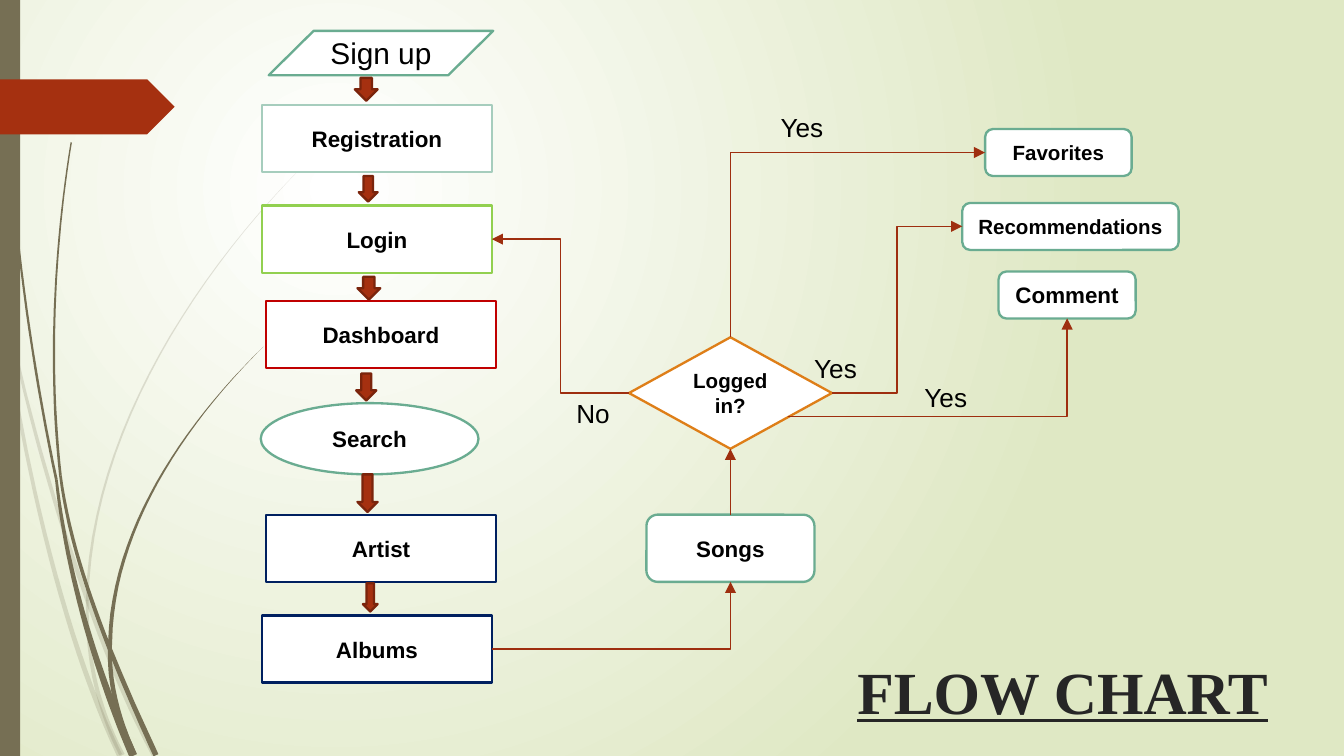
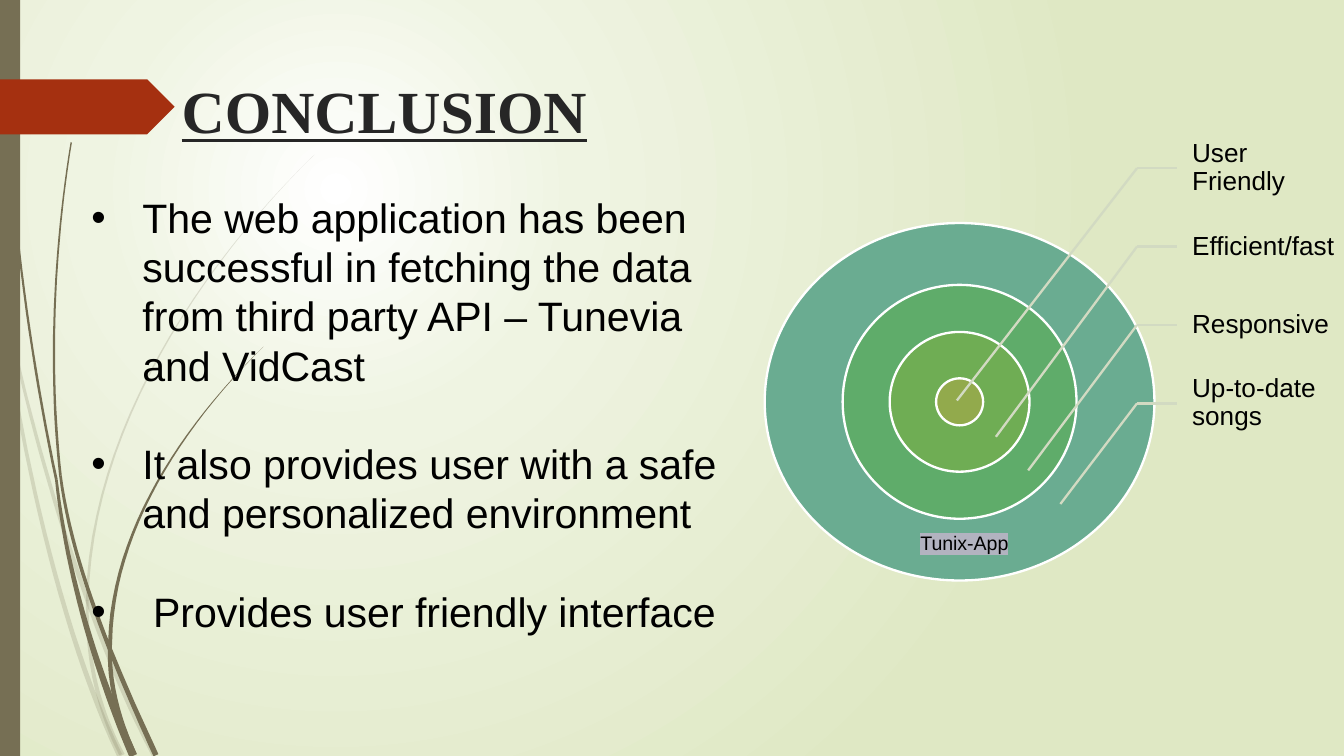
from math import hypot

from lxml.etree import SubElement
from pptx import Presentation
from pptx.dml.color import RGBColor
from pptx.enum.shapes import MSO_CONNECTOR as LINK, MSO_SHAPE as KIND
from pptx.enum.text import MSO_ANCHOR as ANCHOR, MSO_AUTO_SIZE as FIT, PP_ALIGN as ALIGN
from pptx.oxml import parse_xml
from pptx.oxml.ns import nsdecls, qn
from pptx.util import Inches, Pt

COLORS = {
    "white": "FFFFFF", "pale": "EFF4E2", "lime": "DFE8C4", "bark": "766F54",
    "rust": "A53010", "rust edge": "7A240C", "rust link": "9E2E0F",
    "black": "000000", "title": "262626", "teal": "6AAC91", "mint": "A6CDBD",
    "green": "92D050", "red": "C00000", "navy": "002060", "orange": "DE7E18",
    "ring 2": "5FAC6A", "ring 3": "6FAD54", "ring 4": "92AA4C",
    "leader": "D2DAC2", "highlight": "B2B3C0",
}
RGB = {name: RGBColor.from_string(value) for name, value in COLORS.items()}

presentation = Presentation()
presentation.slide_width = Inches(10)
presentation.slide_height = Inches(5.625)
CELL = presentation.slide_width // 10  # square grid, ten columns wide


def style_text(frame, size, bold=False, font="Arial", color="black", align=None):
    """Format every run of a text frame in the same way."""
    frame.word_wrap = True
    for paragraph in frame.paragraphs:
        paragraph.alignment = align
        for run in paragraph.runs:
            run.font.name, run.font.size, run.font.bold = font, Pt(size), bold
            run.font.color.rgb = RGB[color]


def style_shape(shape, fill, line=None, box=None):
    """Give a shape its fill and line, without a shadow, and place it on the grid."""
    shape.shadow.inherit = False
    shape.fill.solid()
    shape.fill.fore_color.rgb = RGB[fill]
    if line:
        shape.line.color.rgb = RGB[line]
        shape.line.width = Pt(1.25)
    else:
        shape.line.fill.background()
    if box:
        shape.left, shape.top, shape.width, shape.height = [int(v * CELL) for v in box]
    return shape


flow = presentation.slides.add_slide(presentation.slide_layouts[5])
conclusion = presentation.slides.add_slide(presentation.slide_layouts[1])

# Shared wisps: a Bezier centre line (start, two controls, end) that widens evenly.
# Each row: opacity in percent, the four points, width at the start and at the end.
wisps = [
    (20, [(0, 2.15), (0.14, 3.3), (0.45, 4.7), (0.89, 5.62)], 0.02, 0.04),
    (20, [(0.11, 2.59), (0.25, 3.25), (0.65, 4.7), (1.15, 5.62)], 0.02, 0.04),
    (20, [(2.34, 1.15), (1.5, 1.97), (0.67, 3.2), (0.65, 4.47)], 0, 0.02),
    (20, [(0.65, 4.47), (0.64, 4.9), (0.74, 5.3), (0.91, 5.62)], 0.02, 0.04),
    (100, [(0.02, 0), (0.03, 1.2), (0.2, 2.55), (0.42, 3.57)], 0.01, 0.02),
    (100, [(0.42, 3.57), (0.5, 4.3), (0.74, 5.05), (0.99, 5.62)], 0.02, 0.06),
    (100, [(0.53, 1.06), (0.4, 1.85), (0.36, 2.75), (0.45, 3.54)], 0.01, 0.02),
    (100, [(0.45, 3.54), (0.54, 4.25), (0.9, 5.05), (1.16, 5.62)], 0.02, 0.04),
    (100, [(1.96, 2.58), (1.35, 3.18), (0.84, 3.95), (0.82, 4.77)], 0, 0.03),
    (100, [(0.82, 4.77), (0.8, 5.1), (0.9, 5.4), (1, 5.62)], 0.03, 0.04),
]
SAMPLES = 24
UNITS = 1000  # drawing units per cell
decorations = []
for opacity, (start, control_1, control_2, end), start_width, end_width in wisps:
    left_edge, right_edge = [], []
    for step in range(SAMPLES + 1):
        t = step / SAMPLES
        u = 1 - t
        x, y = [u**3 * a + 3 * u * u * t * b + 3 * u * t * t * c + t**3 * d
                for a, b, c, d in zip(start, control_1, control_2, end)]
        slope_x, slope_y = [u * u * (b - a) + 2 * u * t * (c - b) + t * t * (d - c)
                            for a, b, c, d in zip(start, control_1, control_2, end)]
        half_width = (start_width * u + end_width * t) / 2
        offset = half_width / hypot(slope_x, slope_y)
        left_edge.append(((x - slope_y * offset) * UNITS, (y + slope_x * offset) * UNITS))
        right_edge.append(((x + slope_y * offset) * UNITS, (y - slope_x * offset) * UNITS))
    outline = left_edge + right_edge[::-1]
    builder = flow.shapes.build_freeform(*outline[0], scale=CELL / UNITS)
    builder.add_line_segments(outline[1:], close=True)
    wisp = style_shape(builder.convert_to_shape(), "bark")
    fill_color = wisp.element.spPr.find(qn("a:solidFill"))[0]
    SubElement(fill_color, qn("a:alpha"), val=str(opacity * 1000))
    decorations.append(wisp)

# Shared side band and tag
for kind, color, box in [(KIND.RECTANGLE, "bark", (0, 0, 0.15, 5.625)),
                         (KIND.PENTAGON, "rust", (0, 0.59, 1.3, 0.41))]:
    decorations.append(style_shape(flow.shapes.add_shape(kind, 0, 0, 0, 0), color, box=box))

# The master carries the decorations, so that both slides show them
for number, shape in enumerate(decorations, 100):
    shape.element.xpath("./p:nvSpPr/p:cNvPr")[0].set("id", str(number))
    presentation.slide_master.shapes.element.append(shape.element)

# Backgrounds and titles
slide_settings = [
    (flow, [(0, "white"), (100, "lime")], "FLOW CHART",
     (6.28, 4.82, 4.25, 0.4), ALIGN.LEFT, 0.1),
    (conclusion, [(0, "white"), (31, "pale"), (100, "lime")], "CONCLUSION",
     (1.13, 0.5, 3.82, 0.47), ALIGN.CENTER, 0.46),
]
for slide, stops, heading, box, align, right_margin in slide_settings:
    stop_xml = "".join(
        f'<a:gs pos="{share * 1000}"><a:srgbClr val="{COLORS[color]}"/></a:gs>'
        for share, color in stops)
    slide.element.find(qn("p:cSld")).insert(0, parse_xml(
        f'<p:bg {nsdecls("p", "a")}><p:bgPr><a:gradFill rotWithShape="1">'
        f'<a:gsLst>{stop_xml}</a:gsLst><a:path path="circle">'
        '<a:fillToRect l="50000" t="50000" r="100000" b="100000"/></a:path>'
        '</a:gradFill><a:effectLst/></p:bgPr></p:bg>'))
    title = slide.shapes.title
    title.left, title.top, title.width, title.height = [int(v * CELL) for v in box]
    frame = title.text_frame
    frame.text = heading
    frame.auto_size, frame.vertical_anchor = FIT.NONE, ANCHOR.TOP
    frame.margin_right = int(right_margin * CELL)
    style_text(frame, 32, True, "Times New Roman", "title", align)
    frame.paragraphs[0].runs[0].font.underline = True

# Flow chart: steps
STEP_SIZE = (1.71, 0.5)
PAGE_HEIGHT = 0.35
steps = [
    ("Sign up", KIND.FLOWCHART_DATA, (2, 0.23, 1.67, 0.33), "teal", 16),
    ("Registration", KIND.RECTANGLE, (1.95, 0.78, *STEP_SIZE), "mint", 12),
    ("Login", KIND.RECTANGLE, (1.95, 1.53, *STEP_SIZE), "green", 12),
    ("Dashboard", KIND.RECTANGLE, (1.98, 2.24, *STEP_SIZE), "red", 12),
    ("Search", KIND.OVAL, (1.94, 3, 1.62, 0.53), "teal", 12),
    ("Artist", KIND.RECTANGLE, (1.98, 3.83, *STEP_SIZE), "navy", 12),
    ("Albums", KIND.RECTANGLE, (1.95, 4.58, *STEP_SIZE), "navy", 12),
    ("Songs", KIND.ROUNDED_RECTANGLE, (4.81, 3.83, 1.25, 0.5), "teal", 12),
    ("Logged in?", KIND.DIAMOND, (4.68, 2.51, 1.51, 0.83), "orange", 11),
    ("Favorites", KIND.ROUNDED_RECTANGLE, (7.33, 0.96, 1.09, PAGE_HEIGHT), "teal", 11),
    ("Recommendations", KIND.ROUNDED_RECTANGLE, (7.16, 1.51, 1.61, PAGE_HEIGHT), "teal", 11),
    ("Comment", KIND.ROUNDED_RECTANGLE, (7.43, 2.02, 1.02, PAGE_HEIGHT), "teal", 12),
]
step_shapes = {}
for label, kind, box, line, size in steps:
    shape = style_shape(flow.shapes.add_shape(kind, 0, 0, 0, 0), "white", line, box)
    shape.text_frame.text = label
    shape.text_frame.vertical_anchor = ANCHOR.MIDDLE
    style_text(shape.text_frame, size, label != "Sign up", align=ALIGN.CENTER)
    step_shapes[label] = shape

# Flow chart: block arrows between the steps of the first column
for box in [(2.64, 0.58, 0.17, 0.17), (2.67, 1.31, 0.14, 0.19), (2.66, 2.06, 0.17, 0.17),
            (2.65, 2.78, 0.15, 0.2), (2.66, 3.53, 0.15, 0.28), (2.7, 4.34, 0.11, 0.21)]:
    arrow = flow.shapes.add_shape(KIND.DOWN_ARROW, 0, 0, 0, 0)
    style_shape(arrow, "rust", "rust edge", box)

# Flow chart: links between connection sites, which count from the top anticlockwise
TOP, LEFT, BOTTOM, RIGHT = range(4)
links = [
    ("Songs", TOP, "Logged in?", BOTTOM, "line", "tailEnd"),
    ("Albums", RIGHT, "Songs", BOTTOM, "bentConnector2", "tailEnd"),
    ("Favorites", LEFT, "Logged in?", TOP, "bentConnector2", "headEnd"),
    ("Logged in?", RIGHT, "Recommendations", LEFT, "bentConnector3", "tailEnd"),
    ("Logged in?", LEFT, "Login", RIGHT, "bentConnector3", "tailEnd"),
    (None, None, "Comment", BOTTOM, "bentConnector2", "tailEnd"),
]
edge_x, edge_y = int(5.86 * CELL), int(3.1 * CELL)  # free start on the diamond's edge
for source, source_site, target, target_site, geometry, arrow_end in links:
    link = flow.shapes.add_connector(LINK.ELBOW, edge_x, edge_y, edge_x, edge_y)
    if source:
        link.begin_connect(step_shapes[source], source_site)
    link.end_connect(step_shapes[target], target_site)
    link.line.color.rgb = RGB["rust link"]
    link.line.width = Pt(0.75)
    properties = link.element.spPr
    properties.find(qn("a:prstGeom")).set("prst", geometry)
    SubElement(properties.find(qn("a:ln")), qn(f"a:{arrow_end}"), type="triangle")
    SubElement(properties, qn("a:effectLst"))

# Flow chart: answers beside the links
for answer, left, top in [("No", 4.19, 2.91), ("Yes", 5.96, 2.57),
                          ("Yes", 5.71, 0.78), ("Yes", 6.78, 2.79)]:
    label = flow.shapes.add_textbox(
        int(left * CELL), int(top * CELL), int(0.56 * CELL), int(0.34 * CELL))
    label.text_frame.text = answer
    style_text(label.text_frame, 14)

# Conclusion: list, with one line of space between the points
points = [
    "The web application has been successful in fetching the data from third party "
    "API – Tunevia and VidCast",
    "It also provides user with a safe and personalized environment",
    "Provides user friendly interface",
]
text_indents = [0.38, 0.38, 0.46]
body = conclusion.placeholders[1]
body.left, body.top, body.width, body.height = [
    int(v * CELL) for v in (0.58, 1.38, 4.92, 3.43)]
frame = body.text_frame
frame.text = "\n".join(points)
frame.auto_size, frame.vertical_anchor = FIT.NONE, ANCHOR.TOP
style_text(frame, 22)
for index, paragraph in enumerate(frame.paragraphs):
    paragraph.line_spacing = 1.0
    paragraph.space_before = Pt(26.4 if index else 0)
for properties, indent in zip(body.element.xpath(".//a:pPr"), text_indents):
    properties.set("marL", str(int(indent * CELL)))
    properties.set("indent", str(int(-indent * CELL)))

# Conclusion: rings around one centre
center_x, center_y = 7.14, 2.99
for width, height, color in [(2.9, 2.66, "teal"), (1.74, 1.74, "ring 2"),
                             (1.04, 1.04, "ring 3"), (0.35, 0.35, "ring 4")]:
    style_shape(conclusion.shapes.add_shape(KIND.OVAL, 0, 0, 0, 0), color, "white",
                (center_x - width / 2, center_y - height / 2, width, height))

# Conclusion: ring labels with leader lines
label_height = 1.75 / 3
label_left, bend_x = 8.76, 8.46
ring_labels = [("User Friendly", 7.12, 2.98), ("Efficient/fast", 7.41, 3.25),
               ("Responsive", 7.65, 3.5), ("Up-to-date songs", 7.89, 3.75)]
for index, (text, target_x, target_y) in enumerate(ring_labels):
    top = 0.96 + index * label_height
    middle = top + label_height / 2
    label = conclusion.shapes.add_textbox(
        int(label_left * CELL), int(top * CELL), int(1.22 * CELL), int(label_height * CELL))
    frame = label.text_frame
    frame.text = text
    frame.vertical_anchor = ANCHOR.MIDDLE
    frame.margin_left = int(0.11 * CELL)
    frame.margin_top = frame.margin_right = frame.margin_bottom = int(0.02 * CELL)
    frame.paragraphs[0].line_spacing = 0.9
    style_text(frame, 14)
    for end_x, end_y in [(label_left, middle), (target_x, target_y)]:
        leader = conclusion.shapes.add_connector(
            LINK.STRAIGHT, *[int(v * CELL) for v in (bend_x, middle, end_x, end_y)])
        leader.line.color.rgb = RGB["leader"]
        leader.line.width = Pt(1.25)
        SubElement(leader.element.spPr, qn("a:effectLst"))

# Conclusion: highlighted name in the outer ring
name = conclusion.shapes.add_textbox(
    int(6.75 * CELL), int(3.9 * CELL), CELL, int(0.28 * CELL))
name.text_frame.text = "Tunix-App"
style_text(name.text_frame, 10.5)
name.element.xpath(".//a:rPr/a:solidFill")[0].addnext(parse_xml(
    f'<a:highlight {nsdecls("a")}><a:srgbClr val="{COLORS["highlight"]}"/></a:highlight>'))

presentation.save("out.pptx")
